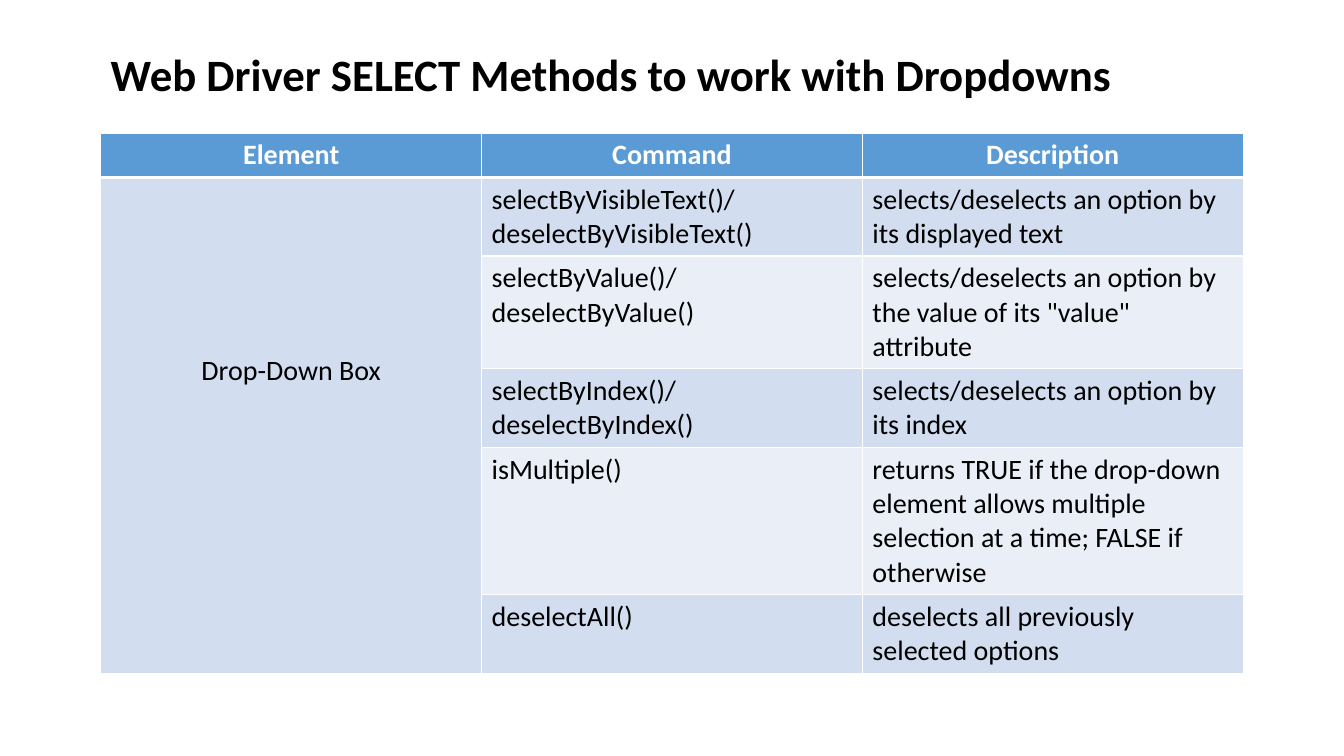
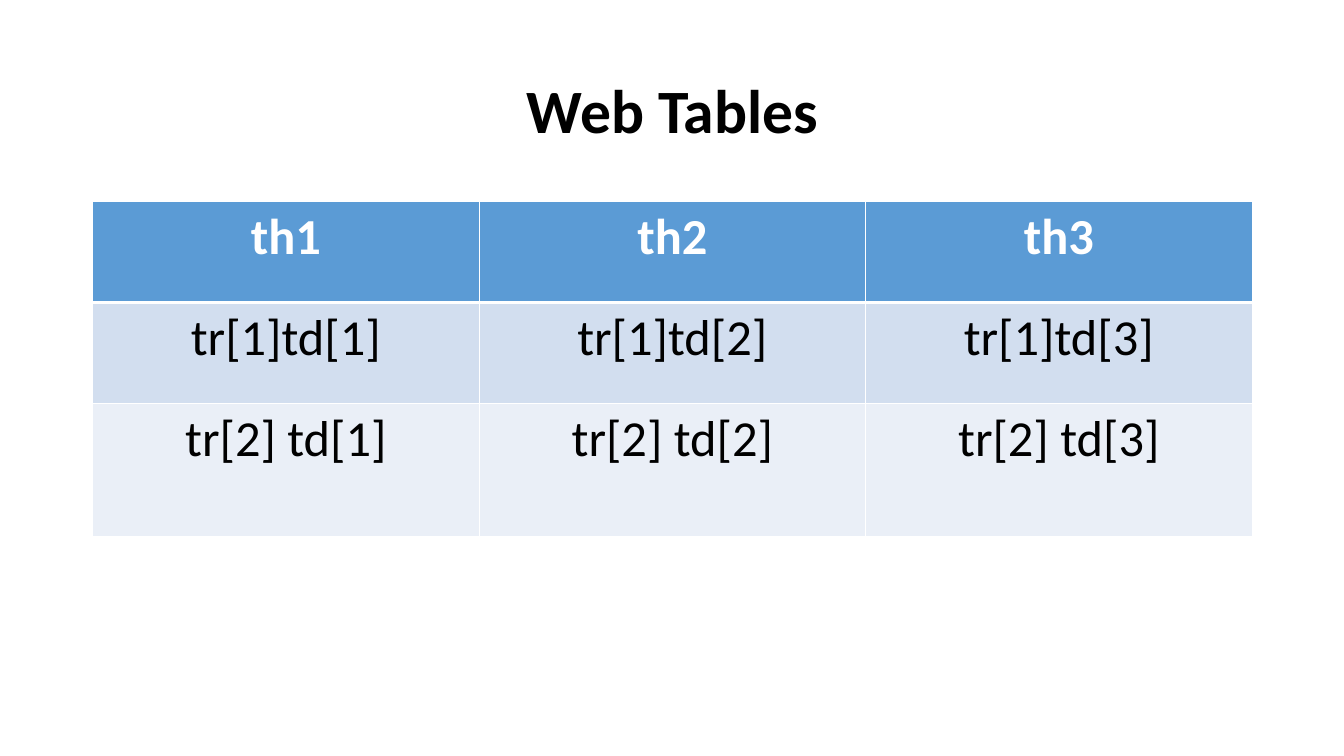
"""Build two slides on web driver dropdown methods and web tables."""
from pptx import Presentation
from pptx.dml.color import RGBColor
from pptx.enum.text import MSO_ANCHOR, PP_ALIGN
from pptx.oxml.ns import qn
from pptx.util import Inches, Pt
from lxml.etree import SubElement

FONT = "Calibri"
COLORS = {"header": "5B9BD5", "odd": "D2DEEF", "even": "EAEFF7",
          "ink": "000000", "paper": "FFFFFF"}
THIN, THICK = Pt(1), Pt(3)

DROPDOWN_TITLE = "Web Driver SELECT Methods to work with Dropdowns"
DROPDOWN_ROWS = [
    ("Element", "Command", "Description"),
    ("Drop-Down Box", "selectByVisibleText()/ deselectByVisibleText()",
     "selects/deselects an option by its displayed text"),
    ("", "selectByValue()/ deselectByValue()",
     'selects/deselects an option by the value of its "value" attribute'),
    ("", "selectByIndex()/ deselectByIndex()",
     "selects/deselects an option by its index"),
    ("", "isMultiple()",
     "returns TRUE if the drop-down element allows multiple selection at a time; "
     "FALSE if otherwise"),
    ("", "deselectAll()", "deselects all previously selected options"),
]
DROPDOWN_HEIGHTS = [0.44, 0.78, 1.12, 0.78, 1.46, 0.78]

WEB_TITLE = "Web Tables"
WEB_ROWS = [
    ("th1", "th2", "th3"),
    ("tr[1]td[1]", "tr[1]td[2]", "tr[1]td[3]"),
    ("tr[2] td[1]", "tr[2] td[2]", "tr[2] td[3]"),
]
WEB_HEIGHTS = [1, 1, 1.32]


def style_text(frame, size, color, bold, align):
    paragraph = frame.paragraphs[0]
    paragraph.alignment = align
    for run in paragraph.runs:
        run.font.name = FONT
        run.font.size = Pt(size)
        run.font.bold = bold
        run.font.color.rgb = RGBColor.from_string(COLORS[color])


def add_title(slide, title, box, size, align):
    frame = slide.shapes.add_textbox(*map(Inches, box)).text_frame
    frame.word_wrap = True
    frame.vertical_anchor = MSO_ANCHOR.MIDDLE
    frame.text = title
    frame.paragraphs[0].line_spacing = 0.9
    style_text(frame, size, "ink", True, align)


def add_borders(cell, top, bottom):
    properties = cell._tc.get_or_add_tcPr()
    for side, width in (("L", THIN), ("R", THIN), ("T", top), ("B", bottom)):
        border = SubElement(properties, qn(f"a:ln{side}"), w=str(width))
        fill = SubElement(border, qn("a:solidFill"))
        SubElement(fill, qn("a:srgbClr"), val=COLORS["paper"])


def add_grid(slide, rows, heights, left, top, width, size, centered_columns):
    columns = len(rows[0])
    grid = slide.shapes.add_table(
        len(rows), columns, Inches(left), Inches(top),
        Inches(width), Inches(sum(heights))).table
    grid.horz_banding = False
    for column in grid.columns:
        column.width = Inches(width / columns)
    for r, (row, height) in enumerate(zip(rows, heights)):
        grid.rows[r].height = Inches(height)
        band = "header" if r == 0 else "odd" if r % 2 else "even"
        for c, label in enumerate(row):
            cell = grid.cell(r, c)
            cell.text_frame.text = label
            centered = r == 0 or c in centered_columns
            style_text(cell.text_frame, size, "ink" if r else "paper", r == 0,
                       PP_ALIGN.CENTER if centered else PP_ALIGN.LEFT)
            add_borders(cell, THICK if r == 1 else THIN, THIN if r else THICK)
            cell.fill.solid()
            cell.fill.fore_color.rgb = RGBColor.from_string(COLORS[band])
    return grid


deck = Presentation()
deck.slide_width, deck.slide_height = Inches(13.33), Inches(7.5)
blank = deck.slide_layouts[6]

dropdown_slide = deck.slides.add_slide(blank)
add_title(dropdown_slide, DROPDOWN_TITLE, (1, 0.21, 11.06, 1.11), 32, PP_ALIGN.LEFT)
methods = add_grid(dropdown_slide, DROPDOWN_ROWS, DROPDOWN_HEIGHTS,
                   1, 1.32, 11.33, 20, {0})
element = methods.cell(1, 0)
element.merge(methods.cell(len(DROPDOWN_ROWS) - 1, 0))
element.margin_top = Inches(1.75)

web_slide = deck.slides.add_slide(blank)
add_title(web_slide, WEB_TITLE, (0.92, 0.4, 11.5, 1.45), 44, PP_ALIGN.CENTER)
add_grid(web_slide, WEB_ROWS, WEB_HEIGHTS, 0.92, 2, 11.5, 36, {0, 1, 2})

deck.save("out.pptx")
